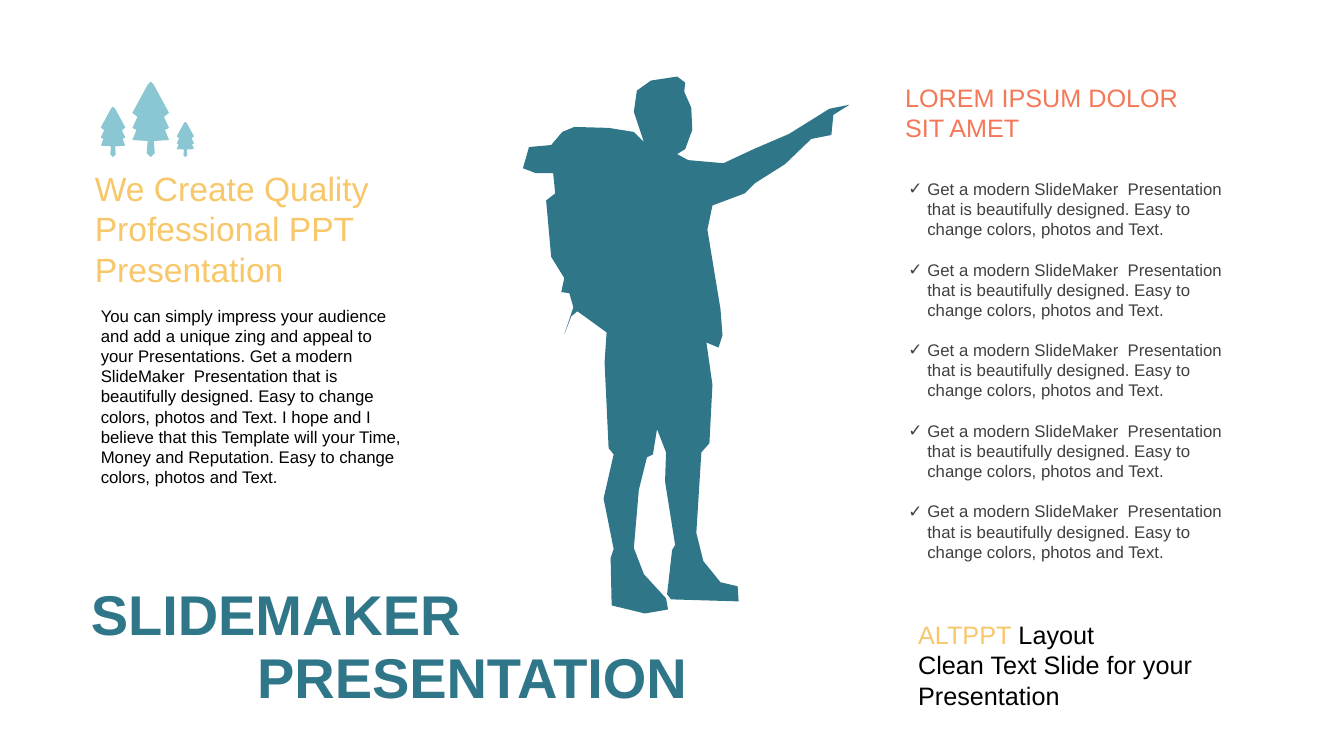
from lxml import etree
from pptx import Presentation
from pptx.dml.color import RGBColor
from pptx.enum.text import MSO_ANCHOR as Anchor, MSO_AUTO_SIZE as Fit, PP_ALIGN as Align
from pptx.oxml.ns import qn
from pptx.util import Cm, Pt

TEAL = RGBColor(0x30, 0x76, 0x89)
AQUA = RGBColor(0x8A, 0xC7, 0xD3)
GOLD = RGBColor(0xF7, 0xC7, 0x6A)
CORAL = RGBColor(0xF4, 0x77, 0x58)
GREY = RGBColor(0x40, 0x40, 0x40)
BLACK = RGBColor(0, 0, 0)

PAD = (0.25, 0.13, 0.25, 0.13)
FLUSH = (0, 0.13, 0.25, 0.13)
TIGHT = (0.1, 0, 0.1, 0)

POINT = ("Get a modern SlideMaker  Presentation that is beautifully designed. "
         "Easy to change colors, photos and Text.")
STORY = ("You can simply impress your audience and add a unique zing and appeal to your "
         "Presentations. Get a modern SlideMaker  Presentation that is beautifully designed. "
         "Easy to change colors, photos and Text. I hope and I believe that this Template will "
         "your Time, Money and Reputation. Easy to change colors, photos and Text.")

# Outline of the hiker, in hundredths of an inch
HIKER = [
    (843, 104), (827, 114), (825, 134), (805, 138), (779, 163), (749, 182), (739, 192),
    (707, 204), (702, 228), (715, 307), (717, 333), (713, 345), (701, 340), (707, 382),
    (704, 440), (696, 449), (691, 529), (698, 557), (715, 578), (732, 582), (733, 597),
    (666, 595), (662, 590), (667, 546), (670, 541), (660, 478), (661, 449), (652, 426),
    (648, 451), (642, 454), (634, 486), (629, 544), (639, 570), (661, 594), (663, 605),
    (640, 609), (607, 601), (606, 554), (609, 545), (599, 495), (609, 451), (604, 445),
    (600, 360), (602, 330), (573, 309), (567, 314), (560, 332), (569, 305), (565, 291),
    (557, 290), (560, 276), (547, 255), (542, 199), (551, 192), (549, 172), (532, 172),
    (519, 167), (525, 146), (547, 144), (558, 131), (570, 126), (604, 127), (629, 131),
    (639, 141), (629, 111), (632, 90), (646, 80), (672, 76), (680, 82), (679, 91),
    (686, 107), (687, 129), (680, 148), (672, 153), (683, 159), (718, 162), (748, 148),
    (783, 133), (823, 108)]

# Right half of a fir tree, measured from its tip
HALF = [(0, 0), (3, 3), (18, 31), (13, 35), (18, 46), (14, 48), (18, 58), (3, 59), (4, 71),
        (0, 75)]


def draw(slide, box, loops, color):
    """Stretch closed loops of points over the box as one filled shape."""
    xs, ys = zip(*(dot for loop in loops for dot in loop))
    left, top, width, height = box
    wide = width / (max(xs) - min(xs))
    high = height / (max(ys) - min(ys))
    loops = [[(Cm(left + (x - min(xs)) * wide), Cm(top + (y - min(ys)) * high))
              for x, y in loop] for loop in loops]
    pen = slide.shapes.build_freeform(*loops[0][0])
    for loop in loops:
        pen.move_to(*loop[0])
        pen.add_line_segments(loop[1:], close=True)
    shape = pen.convert_to_shape()
    shape.shadow.inherit = False
    shape.fill.solid()
    shape.fill.fore_color.rgb = color
    shape.line.fill.background()


def style(font, size, color, bold=False):
    font.name, font.size, font.bold = "Arial", Pt(size), bold
    font.color.rgb = color


def write(shape, box, lines, size, color, pad=PAD, anchor=Anchor.TOP, bold=False):
    """Place a text shape and fill it with one paragraph per line."""
    shape.left, shape.top, shape.width, shape.height = map(Cm, box)
    frame = shape.text_frame
    frame.word_wrap, frame.auto_size = True, Fit.NONE
    frame.vertical_anchor = anchor
    (frame.margin_left, frame.margin_top,
     frame.margin_right, frame.margin_bottom) = map(Cm, pad)
    frame.text = "\n".join(lines)
    for para in frame.paragraphs:
        para.alignment = Align.LEFT
        style(para.font, size, color, bold)
    return frame


def add_text(slide, box, *args, **kind):
    return write(slide.shapes.add_textbox(*map(Cm, box)), box, *args, **kind)


def add_trees(slide, box):
    tree = HALF + [(-x, y) for x, y in HALF[-2:0:-1]]
    foot = HALF[-1][1]
    trees = [[(mid + x * size, (y - foot) * size) for x, y in tree]
             for mid, size in ((13, 0.67), (50, 1), (84, 0.47))]
    draw(slide, box, trees, AQUA)


def add_checks(shape, box):
    frame = write(shape, box, [POINT] * 5, 12, GREY, pad=FLUSH)
    for row, para in enumerate(frame.paragraphs):
        props = para._p.get_or_add_pPr()
        props.set("marL", str(Cm(0.48)))
        props.set("indent", str(Cm(-0.48)))
        bullet = etree.Element(qn("a:buChar"), char="✓")
        props.insert(list(props).index(props.find(qn("a:defRPr"))), bullet)
        para.space_before = Pt(14.4 if row else 0)


def add_left(slide, box):
    left, top, width, _ = box
    add_trees(slide, (left + 0.25, top, 2.35, 1.9))
    add_text(slide, (left, top + 2.16, width, 3.07),
             ["We Create Quality", "Professional PPT Presentation"], 24, GOLD,
             pad=TIGHT, anchor=Anchor.MIDDLE)
    add_text(slide, (left, top + 5.51, width, 4.88), [STORY], 12, BLACK)


def add_right(slide, box):
    left, top, width, _ = box
    add_text(slide, (left, top, 8.2, 1.8), ["LOREM IPSUM DOLOR SIT AMET"], 18, CORAL,
             anchor=Anchor.MIDDLE)
    add_checks(slide.placeholders[1], (left + 0.33, top + 2.44, width - 0.33, 10.01))
    note = add_text(slide, (left + 0.33, top + 13.54, 8.2, 2.57),
                    ["ALTPPT", "Clean Text Slide for your Presentation"], 18, BLACK,
                    anchor=Anchor.MIDDLE)
    first = note.paragraphs[0]
    first.runs[0].font.color.rgb = GOLD
    first.add_run().text = " Layout"


def add_title(slide, box):
    left, top, width, height = box
    look = dict(pad=FLUSH, anchor=Anchor.MIDDLE, bold=True)
    write(slide.shapes.title, box, ["SLIDEMAKER"], 40, TEAL, **look)
    add_text(slide, (left + 4.19, top + 1.58, width, height), ["PRESENTATION"], 40, TEAL, **look)


def main():
    deck = Presentation()
    deck.slide_width, deck.slide_height = Cm(33.87), Cm(19.05)
    slide = deck.slides.add_slide(deck.slide_layouts[1])
    draw(slide, (13.18, 1.93, 8.23, 13.53), [HIKER], TEAL)
    add_title(slide, (2.29, 14.45, 12.22, 2.01))
    add_left(slide, (2.29, 2.06, 8.2, 10.39))
    add_right(slide, (22.56, 1.93, 9.02, 16.11))
    deck.save("out.pptx")


if __name__ == "__main__":
    main()
